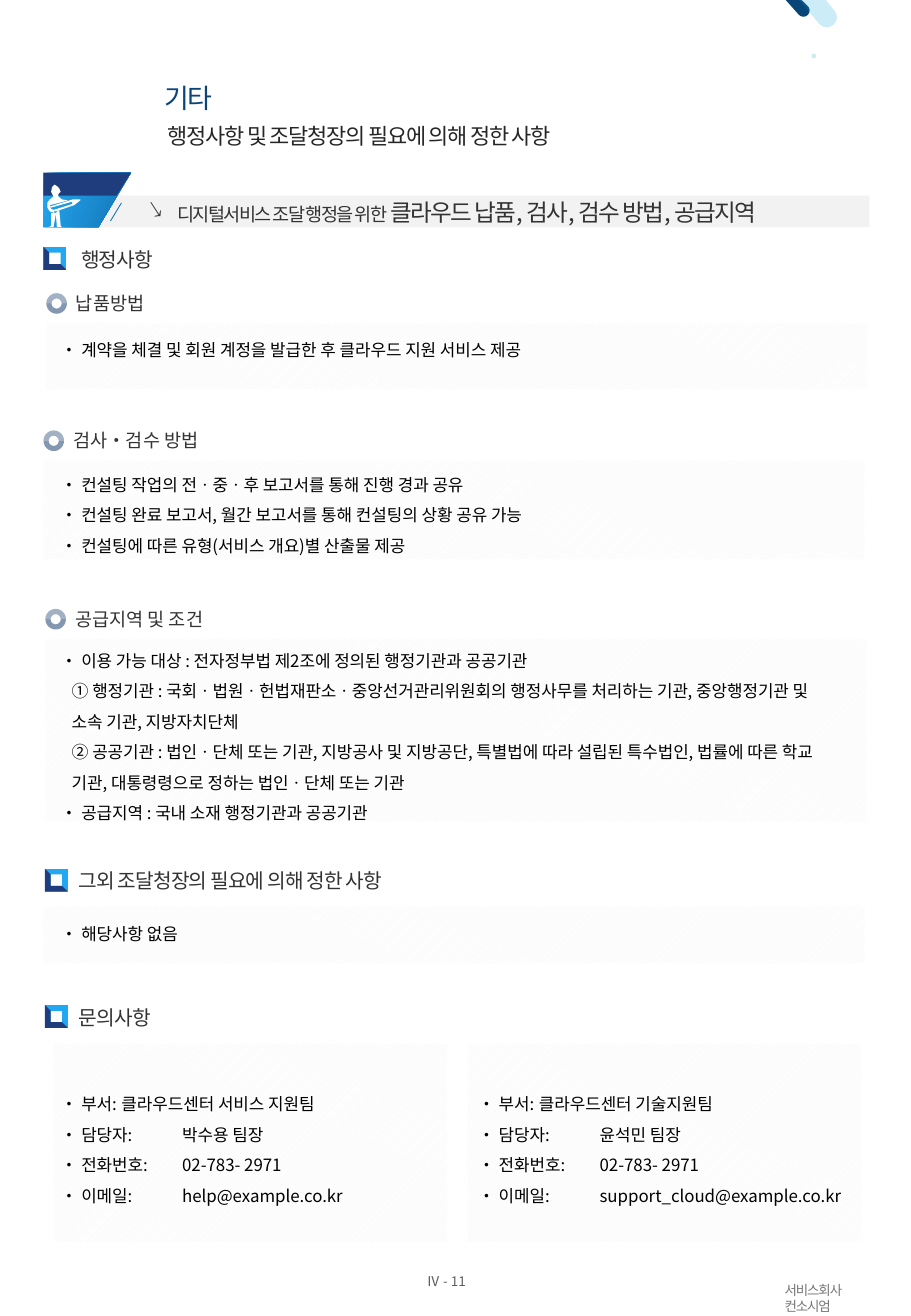
from math import cos, radians, sin

from lxml.etree import SubElement
from pptx import Presentation
from pptx.dml.color import RGBColor
from pptx.enum.dml import MSO_PATTERN
from pptx.enum.shapes import MSO_CONNECTOR, MSO_SHAPE
from pptx.enum.text import MSO_ANCHOR, PP_ALIGN
from pptx.oxml.ns import qn
from pptx.util import Cm, Pt

FONT = "Noto Sans CJK KR"
PENCIL = [(1.52, 4.17), (1.04, 4.32), (1.07, 4.34), (1.5, 4.22), (1.52, 4.24), (1.5, 4.27),
          (1.12, 4.39), (1.17, 4.42), (1.55, 4.29), (1.68, 4.19), (1.68, 4.17)]
BODY = [(1.14, 3.86), (1.09, 3.91), (1.07, 4.01), (1.12, 4.11), (1.04, 4.17), (0.99, 4.24),
        (0.99, 4.34), (1.04, 4.42), (1.14, 4.45), (1.14, 4.39), (1.07, 4.37), (1.04, 4.29),
        (1.24, 4.24), (1.42, 4.19), (1.3, 4.17), (1.22, 4.11), (1.22, 4.06), (1.27, 4.01),
        (1.24, 3.94), (1.19, 3.89)]
LEGS = [(1.24, 4.39), (1.17, 4.45), (1.07, 4.45), (1.07, 4.72), (1.02, 4.75), (1.12, 4.75),
        (1.17, 4.47), (1.19, 4.75), (1.3, 4.75), (1.27, 4.72)]


def rgb(color):
    return RGBColor.from_string(color)


def paint(sp, color, alpha=None):
    sp.shadow.inherit = False
    sp.line.fill.background()
    sp.fill.solid()
    sp.fill.fore_color.rgb = rgb(color)
    if alpha:
        clr = sp.fill._xPr.find(qn("a:solidFill"))[0]
        SubElement(clr, qn("a:alpha")).set("val", str(alpha * 1000))


def paint_gradient(sp, colors, positions, angle):
    sp.fill.gradient()
    sp.fill.gradient_angle = angle
    for stop, color, position in zip(sp.fill.gradient_stops, colors, positions):
        stop.color.rgb = rgb(color)
        stop.position = position


def add_preset(s, kind, left, top, width, height, color, alpha=None):
    sp = s.shapes.add_shape(kind, Cm(left), Cm(top), Cm(width), Cm(height))
    paint(sp, color, alpha)
    return sp


def add_polygon(s, points, color, alpha=None):
    points = [(Cm(x), Cm(y)) for x, y in points]
    builder = s.shapes.build_freeform(*points[0])
    builder.add_line_segments(points[1:])
    sp = builder.convert_to_shape()
    paint(sp, color, alpha)
    return sp


def add_pill(s, left, right, cx, cy, radius, color, alpha=None):
    tip = [(cx + radius * cos(radians(a)), cy + radius * sin(radians(a)))
           for a in range(-42, 139, 10)]
    add_polygon(s, [(left, 0), (right, 0)] + tip, color, alpha)


def add_panel(s, left, top, width, height):
    sp = add_preset(s, MSO_SHAPE.RECTANGLE, left, top, width, height, "FFFFFF")
    sp.fill.patterned()
    sp.fill.pattern = MSO_PATTERN.DARK_UPWARD_DIAGONAL
    sp.fill.fore_color.rgb = rgb("F2F2F2")
    sp.fill.back_color.rgb = rgb("FFFFFF")


def format_run(r, size, color, spacing=0):
    r.font.size = Pt(size)
    r.font.color.rgb = rgb(color)
    r.font.name = FONT
    rPr = r._r.get_or_add_rPr()
    SubElement(rPr, qn("a:ea")).set("typeface", FONT)
    if spacing:
        rPr.set("spc", str(round(spacing * 100)))


def set_frame(tf, wrap, anchor, inset_x=0, inset_y=0):
    tf.word_wrap = wrap
    tf.vertical_anchor = anchor
    tf.margin_left = tf.margin_right = Cm(inset_x)
    tf.margin_top = tf.margin_bottom = Cm(inset_y)


def add_label(s, text, left, top, width, height, size, color, spacing=0,
              anchor=MSO_ANCHOR.TOP, wrap=False):
    tf = s.shapes.add_textbox(Cm(left), Cm(top), Cm(width), Cm(height)).text_frame
    set_frame(tf, wrap, anchor)
    tf.text = text
    for p in tf.paragraphs:
        format_run(p.runs[0], size, color, spacing)
    return tf


def add_body(s, lines, left, top, width, height):
    tf = add_label(s, "\n".join(lines), left, top, width, height, 10, "000000", wrap=True)
    set_frame(tf, True, MSO_ANCHOR.TOP, 0.25, 0.13)
    for p in tf.paragraphs:
        if len(lines) > 1:
            p.line_spacing = 1.5
        if p.text[0] in "①②":
            p._p.get_or_add_pPr().set("marL", str(Cm(0.23)))


def add_heading(s, text, icon_left, text_left, top):
    add_label(s, text, text_left, top, 7.2, 0.51, 12, "333333", -0.5, MSO_ANCHOR.MIDDLE)
    sp = add_preset(s, MSO_SHAPE.FRAME, icon_left, top, 0.48, 0.48, "1F3D7D")
    sp.adjustments[0] = 0.25
    paint_gradient(sp, ("22A8F0", "1F3D7D"), (0.5, 0.5), 225)


def add_topic(s, text, left, top, panel_height, lines, body_top, body_height):
    add_panel(s, left, top + 0.66, 17.17, panel_height)
    add_label(s, text, left + 0.62, top, 3, 0.48, 11, "333333")
    ring = (left, top + 0.03, 0.43, 0.43)
    add_preset(s, MSO_SHAPE.DONUT, *ring, "8497B0")
    add_preset(s, MSO_SHAPE.BLOCK_ARC, *ring, "FFFFFF", 25)
    add_body(s, lines, 1.02, body_top, 16.61, body_height)


def add_contact(s, panel_left, text_left, values):
    add_panel(s, panel_left, 21.82, 8.23, 4.14)
    labels = ("부서", "담당자", "전화번호", "이메일")
    lines = [f"• {label}:\t{value}" for label, value in zip(labels, values)]
    add_body(s, lines, text_left, 22.53, 8.13, 2.82)


def add_title(s):
    sp = s.shapes.title
    sp.left, sp.top, sp.width, sp.height = Cm(3.25), Cm(1.6), Cm(5.28), Cm(0.89)
    tf = sp.text_frame
    set_frame(tf, True, MSO_ANCHOR.TOP, 0.2, 0.1)
    tf.text = "기타"
    p = tf.paragraphs[0]
    p.alignment = PP_ALIGN.LEFT
    format_run(p.runs[0], 16, "0A4578", -1.1)
    tf = add_label(s, "행정사항 및 조달청장의 필요에 의해 정한 사항", 3.51, 2.41, 9.42, 0.71,
                   13, "262626", -0.7, MSO_ANCHOR.MIDDLE, True)
    tf.paragraphs[0].line_spacing = Pt(20)


def add_banner(s):
    add_preset(s, MSO_SHAPE.RECTANGLE, 1.19, 4.09, 16.99, 0.66, "F2F2F2")
    badge = add_polygon(s, [(0.91, 3.61), (2.74, 3.61), (2.06, 4.75), (0.91, 4.75)], "1573B5")
    paint_gradient(badge, ("22A8F0", "1573B5"), (0, 1), 340)
    add_polygon(s, [(0.91, 3.61), (2.74, 3.61), (2.44, 4.09), (0.91, 4.09)], "1F3D7D")
    for outline in (PENCIL, BODY, LEGS):
        add_polygon(s, outline, "FFFFFF")
    slash = s.shapes.add_connector(MSO_CONNECTOR.STRAIGHT, Cm(2.54), Cm(4.24), Cm(2.31), Cm(4.62))
    slash.line.color.rgb = rgb("1573B5")
    slash.line.width = Pt(0.5)
    SubElement(slash._element.spPr, qn("a:effectLst"))

    tf = add_label(s, " ", 2.87, 4.01, 14.71, 0.86, 14, "333333", -1, MSO_ANCHOR.MIDDLE)
    set_frame(tf, False, MSO_ANCHOR.MIDDLE, 0.25, 0.13)
    p = tf.paragraphs[0]
    for text, size in (("디지털서비스 조달 행정을 위한 ", 11),
                       ("클라우드 납품, 검사, 검수 방법, 공급지역", 14)):
        r = p.add_run()
        r.text = text
        format_run(r, size, "333333", -1)
    pPr = p._p.get_or_add_pPr()
    pPr.set("marL", str(Cm(0.48)))
    pPr.set("indent", str(Cm(-0.48)))
    SubElement(pPr, qn("a:buChar")).set("char", "↘")


def main():
    prs = Presentation()
    prs.slide_width, prs.slide_height = Cm(19.05), Cm(27.51)
    s = prs.slides.add_slide(prs.slide_layouts[5])

    add_pill(s, 16.43, 16.76, 16.8, 0.22, 0.13, "0A4578")
    add_pill(s, 16.71, 17.27, 17.29, 0.36, 0.21, "00A0E0", 20)
    add_preset(s, MSO_SHAPE.OVAL, 16.97, 1.12, 0.1, 0.1, "CEECF0")
    add_title(s)
    add_banner(s)

    add_heading(s, "행정사항", 0.91, 1.7, 5.16)
    add_topic(s, "납품방법", 0.97, 6.1, 1.37,
              ["• 계약을 체결 및 회원 계정을 발급한 후 클라우드 지원 서비스 제공"], 6.96, 0.69)
    add_topic(s, "검사•검수 방법", 0.91, 8.97, 2.06,
              ["• 컨설팅 작업의 전ㆍ중ㆍ후 보고서를 통해 진행 경과 공유",
               "• 컨설팅 완료 보고서, 월간 보고서를 통해 컨설팅의 상황 공유 가능",
               "• 컨설팅에 따른 유형(서비스 개요)별 산출물 제공"], 9.58, 2.18)
    add_topic(s, "공급지역 및 조건", 0.95, 12.7, 3.81,
              ["• 이용 가능 대상 : 전자정부법 제2조에 정의된 행정기관과 공공기관",
               "① 행정기관 : 국회ㆍ법원ㆍ헌법재판소ㆍ중앙선거관리위원회의 행정사무를 처리하는 기관, "
               "중앙행정기관 및 소속 기관, 지방자치단체",
               "② 공공기관 : 법인ㆍ단체 또는 기관, 지방공사 및 지방공단, 특별법에 따라 설립된 특수법인, "
               "법률에 따른 학교 기관, 대통령령으로 정하는 법인ㆍ단체 또는 기관",
               "• 공급지역 : 국내 소재 행정기관과 공공기관"], 13.26, 4.11)

    add_heading(s, "그외 조달청장의 필요에 의해 정한 사항", 0.94, 1.65, 18.16)
    add_panel(s, 0.91, 18.95, 17.17, 1.19)
    add_body(s, ["• 해당사항 없음"], 1.02, 19.18, 16.61, 0.69)

    add_heading(s, "문의사항", 0.94, 1.65, 21.01)
    add_contact(s, 1.12, 1.02, ("클라우드센터 서비스 지원팀", "박수용 팀장",
                                "02-783- 2971", "help@example.co.kr"))
    add_contact(s, 9.78, 9.75, ("클라우드센터 기술지원팀", "윤석민 팀장",
                                "02-783- 2971", "support_cloud@example.co.kr"))

    add_label(s, "Ⅳ - 11", 8.92, 26.62, 1.24, 0.33, 8, "5F5F5F", anchor=MSO_ANCHOR.MIDDLE)
    add_label(s, "서비스회사\n컨소시엄", 16.41, 26.8, 2.31, 0.66, 8, "767676", -0.7)
    prs.save("out.pptx")


if __name__ == "__main__":
    main()
